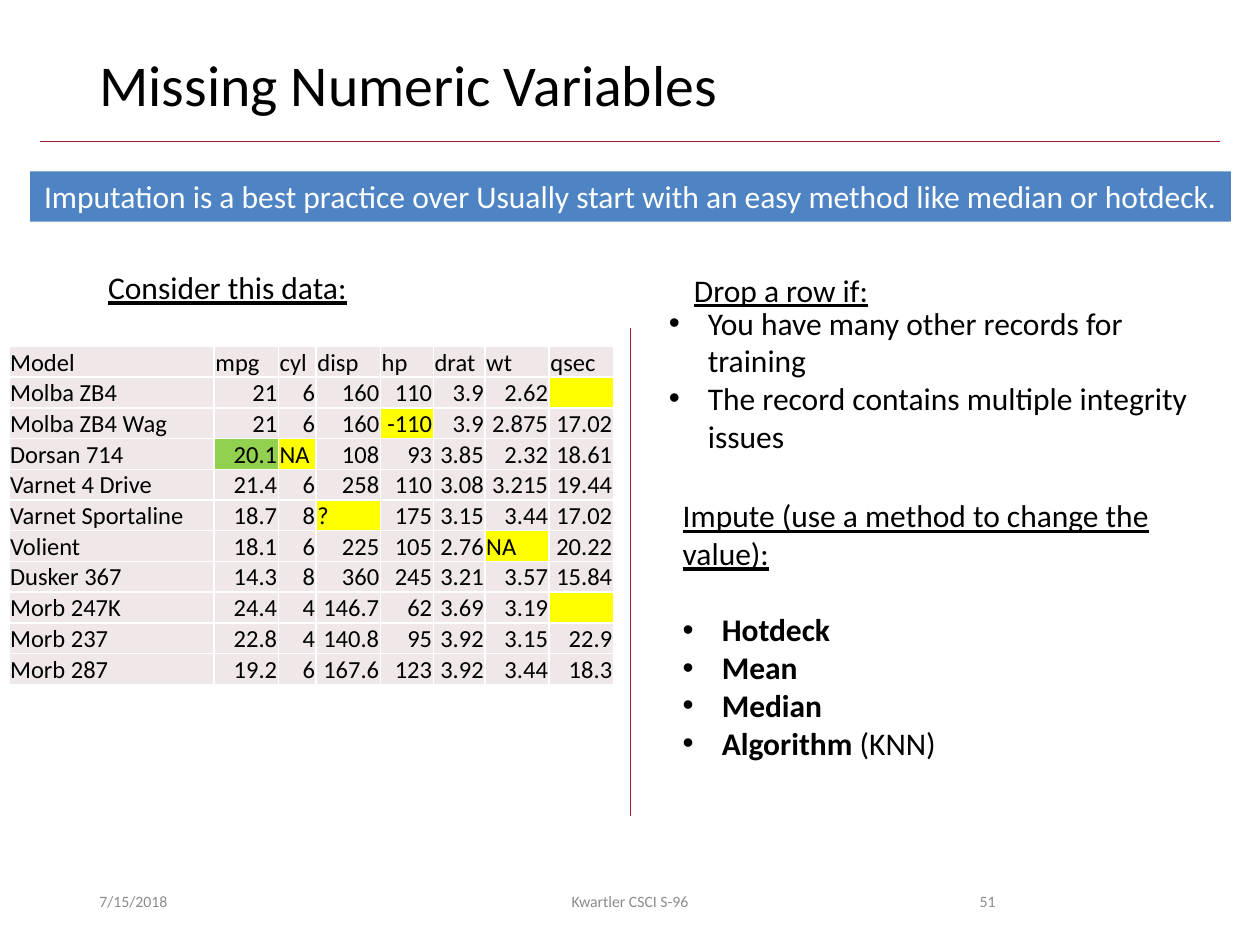
from lxml.etree import SubElement
from pptx import Presentation
from pptx.dml.color import RGBColor
from pptx.enum.shapes import MSO_CONNECTOR, MSO_SHAPE
from pptx.enum.text import MSO_ANCHOR as ANCHOR, PP_ALIGN as ALIGN
from pptx.oxml.ns import qn
from pptx.util import Inches, Pt

BLACK = RGBColor(0x00, 0x00, 0x00)
WHITE = RGBColor(0xFF, 0xFF, 0xFF)
GREY = RGBColor(0x8C, 0x8C, 0x8C)
CRIMSON = RGBColor(0xA5, 0x1C, 0x30)
BLUE = RGBColor(0x4E, 0x84, 0xC4)
PALE = RGBColor(0xF0, 0xE8, 0xE8)
YELLOW = RGBColor(0xFF, 0xFF, 0x00)
GREEN = RGBColor(0x92, 0xD0, 0x50)

prs = Presentation()
prs.slide_width, prs.slide_height = Inches(10), Inches(7.5)
COL = prs.slide_width / 100
ROW = prs.slide_height / 75
s = prs.slides.add_slide(prs.slide_layouts[6])


def grid(x, y, w, h):
    return round(x * COL), round(y * ROW), round(w * COL), round(h * ROW)


def write(p, text, size=18, color=BLACK, bold=False, underline=False, bullet=False):
    if bullet:
        pPr = p._p.get_or_add_pPr()
        pPr.set("marL", str(Inches(0.31)))
        pPr.set("indent", str(-Inches(0.31)))
        SubElement(pPr, qn("a:buFont"), typeface="Arial")
        SubElement(pPr, qn("a:buChar"), char="•")
    r = p.add_run()
    r.text = text
    r.font.name = "Calibri"
    r.font.size = Pt(size)
    r.font.color.rgb = color
    r.font.bold = bold
    r.font.underline = underline


for x1, y1, x2, y2 in [(3.2, 11.2, 96.8, 11.2), (50, 26, 50, 64.8)]:
    line = s.shapes.add_connector(MSO_CONNECTOR.STRAIGHT, *grid(x1, y1, x2, y2))
    line.line.color.rgb = CRIMSON
    line.line.width = Pt(0.5)
    SubElement(line._element.spPr, qn("a:effectLst"))

tf = s.shapes.add_textbox(*grid(6.9, 4, 86.2, 6.5)).text_frame
tf.word_wrap = True
tf.paragraphs[0].line_spacing = 0.9
write(tf.paragraphs[0], "Missing Numeric Variables", 33)

for x, w, align, text in [
    (6.9, 22.5, ALIGN.LEFT, "7/15/2018"),
    (33.1, 33.8, ALIGN.CENTER, "Kwartler CSCI S-96"),
    (70.6, 9.4, ALIGN.RIGHT, "51"),
]:
    tf = s.shapes.add_textbox(*grid(x, 69.5, w, 4)).text_frame
    tf.word_wrap = True
    tf.vertical_anchor = ANCHOR.MIDDLE
    tf.paragraphs[0].alignment = align
    write(tf.paragraphs[0], text, 9, GREY)

banner = s.shapes.add_shape(MSO_SHAPE.RECTANGLE, *grid(2.4, 13.6, 95.3, 4))
banner.shadow.inherit = False
banner.fill.solid()
banner.fill.fore_color.rgb = BLUE
banner.line.fill.background()
tf = banner.text_frame
tf.word_wrap = True
tf.vertical_anchor = ANCHOR.TOP
tf.paragraphs[0].alignment = ALIGN.CENTER
write(
    tf.paragraphs[0],
    "Imputation is a best practice over Usually start with an easy method like median or hotdeck.",
    color=WHITE,
)

for x, y, w, text in [
    (7.6, 20.8, 21.2, "Consider this data:"),
    (54.1, 21, 16, "Drop a row if:"),
]:
    tf = s.shapes.add_textbox(*grid(x, y, w, 4)).text_frame
    tf.word_wrap = False
    write(tf.paragraphs[0], text, underline=True)

tf = s.shapes.add_textbox(*grid(52.1, 23.6, 44, 13.1)).text_frame
tf.word_wrap = True
write(tf.paragraphs[0], "You have many other records for training", bullet=True)
write(tf.add_paragraph(), "The record contains multiple integrity issues", bullet=True)

tf = s.shapes.add_textbox(*grid(53.2, 38.9, 44.9, 22.2)).text_frame
tf.word_wrap = True
write(tf.paragraphs[0], "Impute (use a method to change the value):", underline=True)
for method in ["Hotdeck", "Mean", "Median", "Algorithm"]:
    p = tf.add_paragraph()
    if method == "Hotdeck":
        p.space_before = Pt(22)
    write(p, method, bold=True, bullet=True)
write(p, " (KNN)")

RECORDS = [
    ["Model", "mpg", "cyl", "disp", "hp", "drat", "wt", "qsec"],
    ["Molba ZB4", "21", "6", "160", "110", "3.9", "2.62", ""],
    ["Molba ZB4 Wag", "21", "6", "160", "-110", "3.9", "2.875", "17.02"],
    ["Dorsan 714", "20.1", "NA", "108", "93", "3.85", "2.32", "18.61"],
    ["Varnet 4 Drive", "21.4", "6", "258", "110", "3.08", "3.215", "19.44"],
    ["Varnet Sportaline", "18.7", "8", "?", "175", "3.15", "3.44", "17.02"],
    ["Volient", "18.1", "6", "225", "105", "2.76", "NA", "20.22"],
    ["Dusker 367", "14.3", "8", "360", "245", "3.21", "3.57", "15.84"],
    ["Morb 247K", "24.4", "4", "146.7", "62", "3.69", "3.19", ""],
    ["Morb 237", "22.8", "4", "140.8", "95", "3.92", "3.15", "22.9"],
    ["Morb 287", "19.2", "6", "167.6", "123", "3.92", "3.44", "18.3"],
]
SUSPECT = ["", "NA", "?", "-110"]
WIDTHS = [16.3, 5.1, 3, 5.1, 4.2, 4.1, 5.1, 5.1]

table = s.shapes.add_table(
    len(RECORDS), len(WIDTHS), *grid(0.7, 27.5, sum(WIDTHS), 26.8)
).table
table.first_row = table.horz_banding = False
for column, width in zip(table.columns, WIDTHS):
    column.width = round(width * COL)
for i, record in enumerate(RECORDS):
    for j, value in enumerate(record):
        cell = table.cell(i, j)
        cell.margin_left = cell.margin_right = cell.margin_top = Inches(0.01)
        cell.margin_bottom = 0
        cell.vertical_anchor = ANCHOR.BOTTOM if j else ANCHOR.MIDDLE
        tcPr = cell._tc.get_or_add_tcPr()
        for side in ["lnL", "lnR", "lnT", "lnB"]:
            ln = SubElement(tcPr, qn(f"a:{side}"), w=str(Pt(1)))
            SubElement(SubElement(ln, qn("a:solidFill")), qn("a:srgbClr"), val=str(WHITE))
        cell.fill.solid()
        cell.fill.fore_color.rgb = (
            YELLOW if value in SUSPECT else GREEN if value == "20.1" else PALE
        )
        p = cell.text_frame.paragraphs[0]
        if i and j and value not in ["NA", "?"]:
            p.alignment = ALIGN.RIGHT
        if value:
            write(p, value, 14)
        else:
            SubElement(p._p, qn("a:endParaRPr"), sz="1400")

prs.save("out.pptx")
